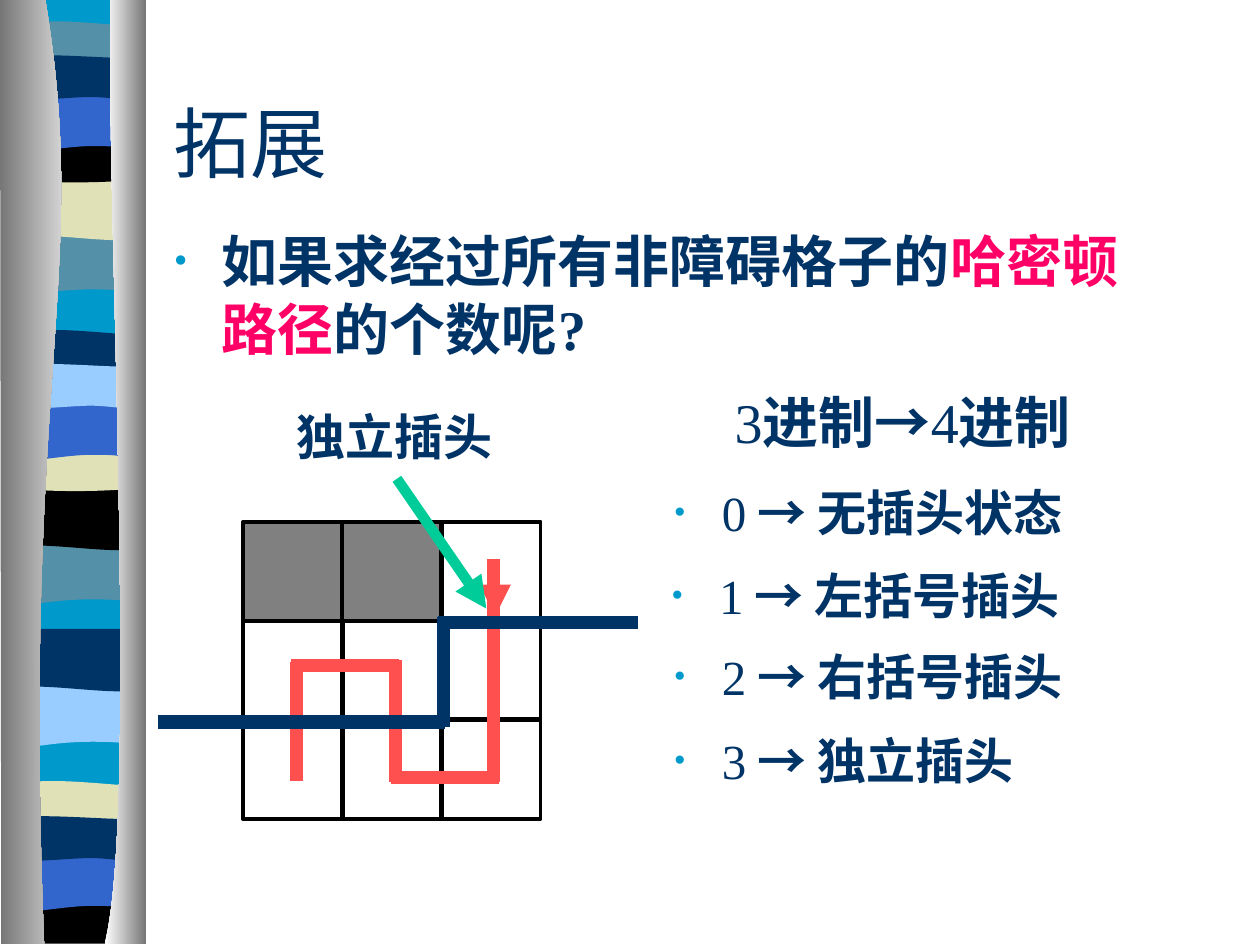
import pptx
import pptx.util
import pptx.dml.color
import pptx.enum.text
import pptx.enum.shapes
import lxml.etree

Inches = pptx.util.Inches
Align = pptx.enum.text.PP_ALIGN
Anchor = pptx.enum.text.MSO_ANCHOR
Fit = pptx.enum.text.MSO_AUTO_SIZE

HUES = {
    "navy": "003366", "sky": "0099CC", "teal": "5490A8", "sand": "E1E1B7",
    "black": "000000", "blue": "3366CC", "pale": "99CCFF", "grey": "808080",
    "steel": "767676", "white": "FFFFFF", "red": "FF5050", "pink": "FF0066",
    "green": "00CC99",
}
SERIF, SANS = "Times New Roman", "Noto Sans CJK SC"

TITLE = "拓展"
ASK = [("如果求经过所有非障碍格子的", "navy"), ("哈密顿路径", "pink"), ("的个数呢?", "navy")]
LABEL = "独立插头"
HEAD = [("3", False), ("进制→", True), ("4", False), ("进制", True)]
ITEMS = [
    ("0", " → 无插头状态", 5.25, 3.78),
    ("1", " → 左括号插头", 5.23, 4.44),
    ("2", " → 右括号插头", 5.25, 5.08),
    ("3", " → 独立插头", 5.25, 5.75),
]

FLAT = [(0.05, 0), (1.14, 0)]
WAVES = {
    "dip": (FLAT, [(1.14, 0.47), (0.39, 0.39), (0.23, 0.55), (0.05, 0.47)]),
    "sway": (FLAT, [(1.14, 0.47), (0.96, 0.55), (0.39, 0.42), (0.05, 0.47)]),
    "lens": ([(0.05, 0.04), (0.12, 0), (0.29, 0), (0.47, 0), (0.65, 0), (1, 0.04), (1.14, 0.04)],
             [(1.14, 0.29), (0.96, 0.33), (0.23, 0.33), (0.05, 0.29)]),
    "bowl": ([(0.05, 0), (0.72, 0.05), (0.92, 0), (1.14, 0)],
             [(1.14, 0.33), (0.96, 0.38), (0.24, 0.38), (0.05, 0.33)]),
    "base": ([(0.04, 0), (0.71, 0.05), (0.9, 0), (1.13, 0)],
             [(1.13, 0.37), (0.06, 0.37)]),
    "arch": (FLAT, [(1.14, 0.47), (0.97, 0.41), (0.9, 0.41), (0.72, 0.41),
                    (0.54, 0.41), (0.22, 0.47), (0.05, 0.47)]),
    "roll": ([(0.05, 0.05), (0.21, 0), (0.79, 0.05), (0.97, 0.05),
              (1.15, 0.05), (1.11, 0.05), (1.14, 0.05)],
             [(1.14, 0.36), (1.07, 0.41), (0.9, 0.36), (0.72, 0.36),
              (0.54, 0.36), (0.17, 0.41), (0.05, 0.36)]),
    "full": (FLAT, [(1.14, 7.47), (0.05, 7.47)]),
}
BANDS = [
    ("full", 0, "sky"),
    ("dip", 1.85, "teal"), ("sway", 1.41, "sand"), ("lens", 0.17, "teal"),
    ("bowl", 1.08, "black"), ("arch", 0.75, "blue"), ("roll", 0.41, "navy"),
    ("dip", 4.31, "teal"), ("sway", 3.87, "black"), ("lens", 2.62, "navy"),
    ("bowl", 3.53, "sand"), ("arch", 3.2, "blue"), ("roll", 2.86, "pale"),
    ("dip", 5.44, "pale"), ("sway", 4.99, "navy"), ("lens", 6.2, "sand"),
    ("base", 7.12, "black"), ("arch", 6.78, "blue"), ("roll", 6.45, "navy"),
]
SIDES = [
    ([(0.36, 0), (0.72, 2.17), (0.17, 2.96), (0.35, 7.49)],
     [(0.01, 7.49), (0, 0)], ("steel", "white")),
    ([(0.88, 0), (0.83, 1.25), (1.11, 6.47), (0.83, 7.49)],
     [(1.16, 7.49), (1.16, 0)], ("white", "steel")),
]

LEFT, TOP, CELL, STEP = 1.93, 4.14, 0.79, 1.57 / 2
DARK = [(0, 0), (0, 1)]
LINES = [
    ((3.92, 4.44), (3.92, 6.21), "red", 7.5, False),
    ((3.96, 6.17), (3.1, 6.17), "red", 7.5, False),
    ((3.14, 5.24), (3.14, 6.21), "red", 7.5, False),
    ((3.17, 5.28), (2.31, 5.28), "red", 7.5, False),
    ((2.35, 5.25), (2.35, 6.2), "red", 7.5, False),
    ((3.93, 4.49), (3.93, 4.89), "red", 6, True),
    ((1.25, 5.73), (3.53, 5.73), "navy", 7.5, False),
    ((3.52, 4.9), (3.52, 5.77), "navy", 7.5, False),
    ((3.48, 4.94), (5.06, 4.94), "navy", 7.5, False),
    ((3.15, 3.8), (3.86, 4.83), "green", 6, True),
]

deck = pptx.Presentation()
deck.slide_width, deck.slide_height = Inches(10), Inches(7.5)
slide = deck.slides.add_slide(deck.slide_layouts[1])
shapes = slide.shapes


def hue(name):
    return pptx.dml.color.RGBColor.from_string(HUES[name])


def node(base, tag, **attrs):
    return lxml.etree.SubElement(base, pptx.oxml.ns.qn("a:" + tag), attrs)


def bend(legs):
    track = legs[0].getparent()
    for i in range(0, len(legs), 3):
        arc = node(track, "cubicBezTo")
        legs[i].addprevious(arc)
        for leg in legs[i:i + 3]:
            arc.append(leg[0])
            track.remove(leg)


def outline(edges):
    spots = [(Inches(x), Inches(y)) for edge in edges for x, y in edge]
    pen = shapes.build_freeform(*spots[0])
    pen.add_line_segments(spots[1:], close=True)
    form = pen.convert_to_shape()
    legs = list(form._element.iter(pptx.oxml.ns.qn("a:lnTo")))
    first = 0
    for edge in edges:
        last = first + len(edge) - 1
        if len(edge) > 2:
            bend(legs[first:last])
        first = last + 1
    form.shadow.inherit = False
    form.line.fill.background()
    return form


def paint(form, name):
    form.fill.solid()
    form.fill.fore_color.rgb = hue(name)


def put(box, left, top, wide, high):
    box.left, box.top, box.width, box.height = map(Inches, (left, top, wide, high))
    frame = box.text_frame
    frame.word_wrap = True
    frame.auto_size = Fit.NONE
    return frame


def add(para, text, size, name="navy", bold=False, face=SERIF):
    run = para.add_run()
    run.text = text
    font = run.font
    font.size, font.bold, font.name = pptx.util.Pt(size), bold, face
    font.color.rgb = hue(name)
    if face == SANS:
        node(font._element, "ea", typeface=face)


def bullet(para, space):
    para.space_before = pptx.util.Pt(space)
    props = para._p.get_or_add_pPr()
    props.set("marL", str(Inches(0.38)))
    props.set("indent", str(-Inches(0.38)))
    node(node(props, "buClr"), "srgbClr", val=HUES["sky"])
    node(props, "buSzPct", val="70000")
    node(props, "buFont", typeface=SERIF)
    node(props, "buChar", char="•")


def textbox(left, top, wide, high):
    return put(shapes.add_textbox(0, 0, 0, 0), left, top, wide, high).paragraphs[0]


for kind, top, name in BANDS:
    paint(outline([[(x, y + top) for x, y in edge] for edge in WAVES[kind]]), name)
for edge, rim, tones in SIDES:
    fill = outline([edge, rim]).fill
    fill.gradient()
    fill.gradient_angle = 0
    for stop, tone in zip(fill.gradient_stops, tones):
        stop.color.rgb = hue(tone)

frame = put(shapes.title, 1.28, 0.5, 8.5, 1.25)
frame.vertical_anchor = Anchor.MIDDLE
para = frame.paragraphs[0]
para.alignment = Align.LEFT
add(para, TITLE, 44)

para = put(slide.placeholders[1], 1.28, 1.75, 7.8, 1.33).paragraphs[0]
bullet(para, 8)
for text, name in ASK:
    add(para, text, 32, name, True)

for row in range(3):
    for col in range(3):
        cell = shapes.add_shape(
            pptx.enum.shapes.MSO_SHAPE.RECTANGLE, Inches(LEFT + col * STEP),
            Inches(TOP + row * STEP), Inches(CELL), Inches(CELL))
        cell.shadow.inherit = False
        cell.line.color.rgb = hue("black")
        cell.line.width = pptx.util.Pt(2.25)
        if (row, col) in DARK:
            paint(cell, "grey")
        else:
            cell.fill.background()

for start, end, name, width, arrow in LINES:
    link = shapes.add_connector(
        pptx.enum.shapes.MSO_CONNECTOR.STRAIGHT, *map(Inches, start + end))
    link.line.color.rgb = hue(name)
    link.line.width = pptx.util.Pt(width)
    if arrow:
        node(link.line._get_or_add_ln(), "tailEnd", type="triangle")
    node(link._element.spPr, "effectLst")

para = textbox(2.17, 3.18, 1.92, 0.57)
para.alignment = Align.CENTER
para.space_before = pptx.util.Pt(17.5)
add(para, LABEL, 28, bold=True)

for digit, text, left, top in ITEMS:
    para = textbox(left, top, 3.92, 0.75)
    bullet(para, 7)
    add(para, digit, 28)
    add(para, text, 28, bold=True, face=SANS)

para = textbox(5.25, 3.03, 3.83, 0.64)
para.alignment = Align.CENTER
para.space_before = pptx.util.Pt(20)
for text, bold in HEAD:
    add(para, text, 32, bold=bold, face=SANS if bold else SERIF)

deck.save("out.pptx")
